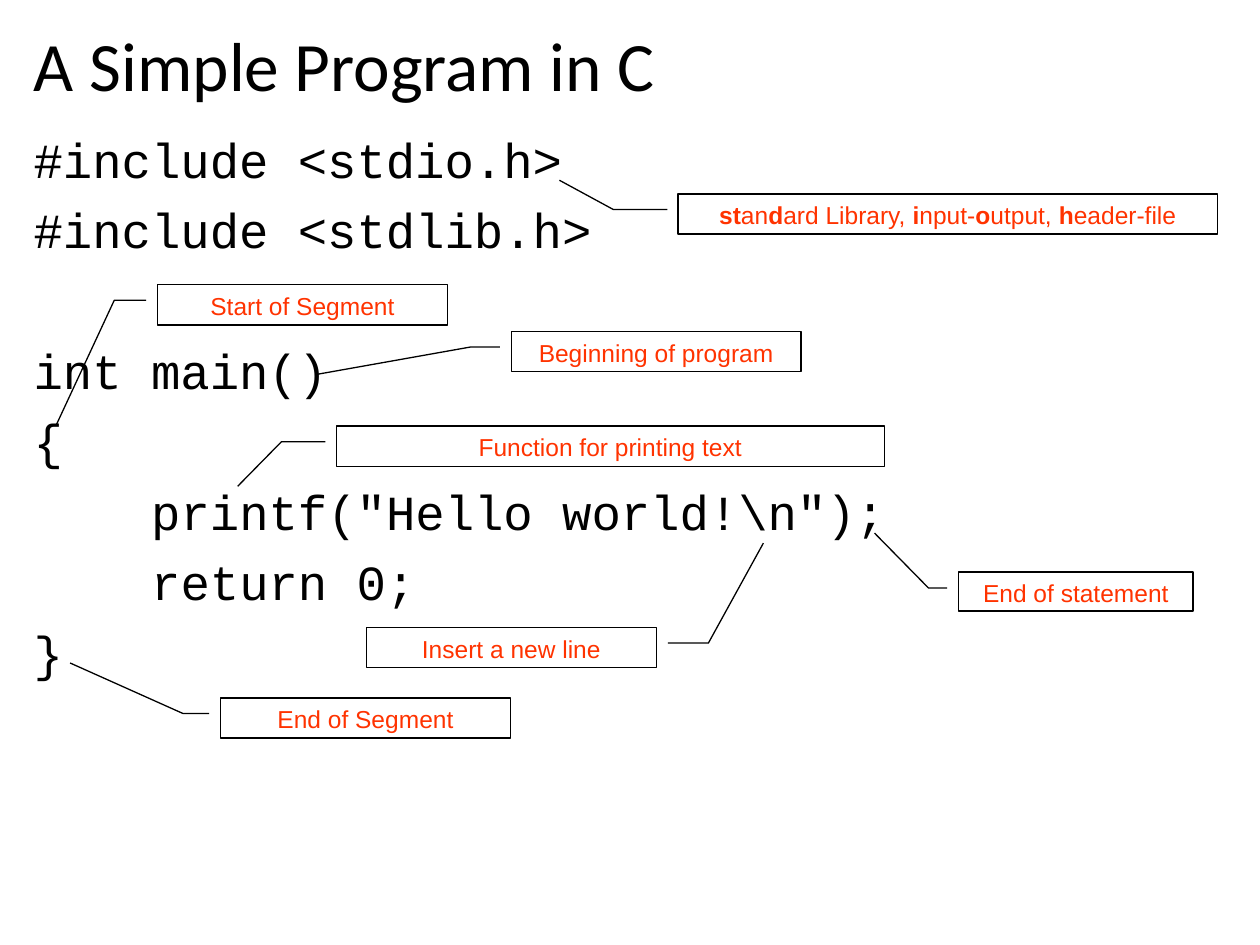
from pptx import Presentation
from pptx.dml.color import RGBColor
from pptx.enum.shapes import MSO_SHAPE as Shape
from pptx.enum.text import MSO_ANCHOR as Anchor, MSO_AUTO_SIZE as Fit, PP_ALIGN as Align
from pptx.util import Cm, Pt


def hue(code):
    return RGBColor.from_string(code)


def write(para, text, font="Arial", size=14, color="000000",
          align=Align.LEFT, lines=None, before=0):
    """Fill a paragraph; parts between asterisks are bold."""
    para.alignment = align
    para.line_spacing = lines
    para.space_before = Pt(before)
    for i, part in enumerate(text.split("*")):
        if part:
            run = para.add_run()
            run.text = part
            run.font.name = font
            run.font.size = Pt(size)
            run.font.bold = i % 2 == 1
            run.font.color.rgb = hue(color)


deck = Presentation()
deck.slide_width, deck.slide_height = Cm(25.4), Cm(19.05)
slide = deck.slides.add_slide(deck.slide_layouts[5])

# Title
title = slide.shapes.title
title.left, title.top, title.width, title.height = Cm(0.43), Cm(0.46), Cm(24.43), Cm(1.88)
frame = title.text_frame
frame.auto_size = Fit.NONE
frame.vertical_anchor = Anchor.MIDDLE
write(frame.paragraphs[0], "A Simple Program in C", font="Calibri", size=39.6, lines=0.9)

# Program: text, indent level, space before
code = [
    ("#include <stdio.h>", 0, 10),
    ("#include <stdlib.h>", 0, 10),
    ("int main()", 0, 50),
    ("{", 0, 10),
    ('printf("Hello world!\\n");', 1, 10),
    ("return 0;", 1, 10),
    ("}", 0, 10),
]
box = slide.shapes.add_textbox(Cm(0.43), Cm(2.62), Cm(24.43), Cm(14.55))
frame = box.text_frame
frame.word_wrap = True
for i, (text, level, gap) in enumerate(code):
    para = frame.add_paragraph() if i else frame.paragraphs[0]
    write(para, text, font="Courier New", size=28, lines=0.9, before=gap)
    para._p.get_or_add_pPr().set("marL", str(Cm(2.37 * level)))

# Callouts: text, left, top, width, height,
# then the leader as shares of the box: start y, start x, bend x, end y, end x
notes = [
    ("Function for printing text", 6.78, 8.59, 11.05, 0.81, 0.39, -0.02, -0.1, 1.5, -0.18),
    ("End of statement", 19.33, 11.53, 4.72, 0.79, 0.41, -0.05, -0.13, -0.99, -0.36),
    ("Insert a new line", 7.39, 12.65, 5.84, 0.81, 0.39, 1.04, 1.18, -2.1, 1.37),
    ("Start of Segment", 3.18, 5.74, 5.84, 0.81, 0.39, -0.04, -0.15, 3.49, -0.35),
    ("End of Segment", 4.45, 14.07, 5.84, 0.81, 0.39, -0.04, -0.13, -0.87, -0.52),
    ("*st*an*d*ard Library, *i*nput-*o*utput, *h*eader-file",
     13.67, 3.91, 10.87, 0.81, 0.39, -0.02, -0.12, -0.34, -0.22),
    ("Beginning of program", 10.31, 6.68, 5.84, 0.81, 0.39, -0.04, -0.14, 1.07, -0.67),
]
for text, left, top, width, height, y, start, bend, tip, end in notes:
    note = slide.shapes.add_shape(Shape.LINE_CALLOUT_2, Cm(left), Cm(top), Cm(width), Cm(height))
    for i, share in enumerate((y, start, y, bend, tip, end)):
        note.adjustments[i] = share
    note.shadow.inherit = False
    note.fill.background()
    note.line.color.rgb = hue("000000")
    note.line.width = Pt(0.75)
    frame = note.text_frame
    frame.word_wrap = True
    frame.vertical_anchor = Anchor.TOP
    write(frame.paragraphs[0], text, color="FF3300", align=Align.CENTER)

deck.save("out.pptx")
